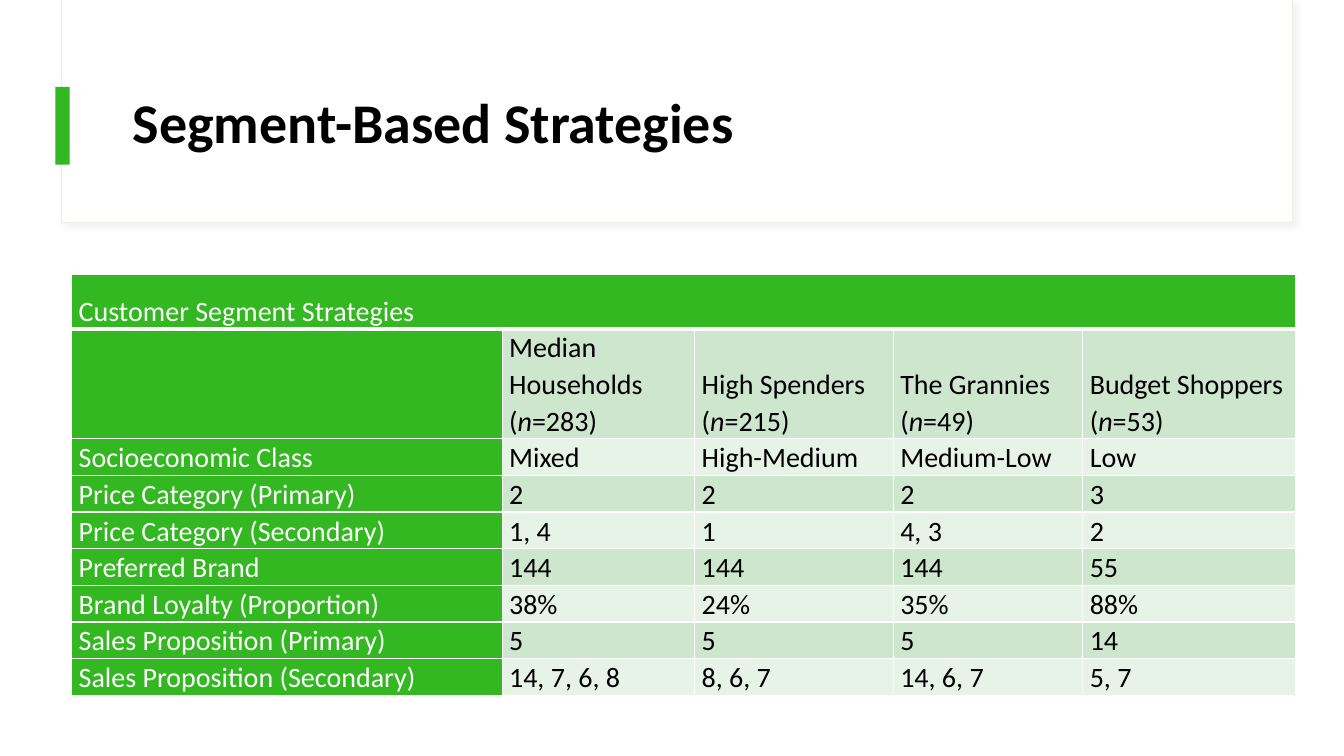
"""Build the slide on segment-based strategies with its customer segment table."""
import lxml.etree
import pptx
import pptx.dml.color
import pptx.enum.shapes
import pptx.enum.text
import pptx.oxml.ns
import pptx.util

GREEN = pptx.dml.color.RGBColor(0x33, 0xB8, 0x22)
DARK_BAND = pptx.dml.color.RGBColor(0xCE, 0xE6, 0xCD)
LIGHT_BAND = pptx.dml.color.RGBColor(0xE8, 0xF3, 0xE8)
FRAME_LINE = pptx.dml.color.RGBColor(0xF0, 0xEC, 0xE5)
WHITE = pptx.dml.color.RGBColor(0xFF, 0xFF, 0xFF)
BLACK = pptx.dml.color.RGBColor(0x00, 0x00, 0x00)
FONT = "Calibri"

SEGMENTS = [("Median Households", 283), ("High Spenders", 215),
            ("The Grannies", 49), ("Budget Shoppers", 53)]
STRATEGIES = [
    ("Socioeconomic Class", "Mixed", "High-Medium", "Medium-Low", "Low"),
    ("Price Category (Primary)", "2", "2", "2", "3"),
    ("Price Category (Secondary)", "1, 4", "1", "4, 3", "2"),
    ("Preferred Brand", "144", "144", "144", "55"),
    ("Brand Loyalty (Proportion)", "38%", "24%", "35%", "88%"),
    ("Sales Proposition (Primary)", "5", "5", "5", "14"),
    ("Sales Proposition (Secondary)", "14, 7, 6, 8", "8, 6, 7", "14, 6, 7", "5, 7"),
]
COLUMN_PERCENTS = [32.03, 14.33, 14.78, 14.1, 15.83]
ROW_PERCENTS = [7.2, 14.55] + [4.85] * len(STRATEGIES)

presentation = pptx.Presentation()
presentation.slide_width = pptx.util.Inches(13.333)
presentation.slide_height = pptx.util.Inches(7.5)
PERCENT_WIDE = presentation.slide_width / 100
PERCENT_HIGH = presentation.slide_height / 100
slide = presentation.slides.add_slide(presentation.slide_layouts[6])


def area(left, top, width, height):
    """Turn percentages of the slide into a position and size."""
    return (round(left * PERCENT_WIDE), round(top * PERCENT_HIGH),
            round(width * PERCENT_WIDE), round(height * PERCENT_HIGH))


def add_border(cell, side, points):
    """Draw one white border of a table cell."""
    line = lxml.etree.SubElement(cell._tc.get_or_add_tcPr(), pptx.oxml.ns.qn(f"a:ln{side}"),
                                 w=str(pptx.util.Pt(points)))
    fill = lxml.etree.SubElement(line, pptx.oxml.ns.qn("a:solidFill"))
    lxml.etree.SubElement(fill, pptx.oxml.ns.qn("a:srgbClr"), val=str(WHITE))


panels = []
for position, color in [((4.58, 0, 91.6, 29.5), WHITE), ((4.65, 0, 91.5, 29.35), WHITE),
                        ((4.13, 11.5, 1.05, 10.3), GREEN)]:
    panel = slide.shapes.add_shape(pptx.enum.shapes.MSO_SHAPE.RECTANGLE, *area(*position))
    panel.shadow.inherit = False
    panel.fill.solid()
    panel.fill.fore_color.rgb = color
    panel.line.fill.background()
    panels.append(panel)

frame = panels[0]
frame.line.color.rgb = FRAME_LINE
frame.line.width = pptx.util.Pt(0.75)
effects = frame._element.spPr.find(pptx.oxml.ns.qn("a:effectLst"))
shadow = lxml.etree.SubElement(effects, pptx.oxml.ns.qn("a:outerShdw"),
                               blurRad=str(pptx.util.Pt(4)), dist=str(pptx.util.Pt(3)),
                               dir=str(45 * 60000), algn="tl", rotWithShape="0")
shadow_color = lxml.etree.SubElement(shadow, pptx.oxml.ns.qn("a:srgbClr"), val="D9D9D9")
lxml.etree.SubElement(shadow_color, pptx.oxml.ns.qn("a:alpha"), val="30000")

title = slide.shapes.add_textbox(*area(9.15, 8, 83.4, 17.2)).text_frame
title.word_wrap = True
title.vertical_anchor = pptx.enum.text.MSO_ANCHOR.MIDDLE
title.text = "Segment-Based Strategies"
heading = title.paragraphs[0]
heading.line_spacing = 0.9
heading.font.name = FONT
heading.font.size = pptx.util.Pt(40)
heading.font.bold = True
heading.font.color.rgb = BLACK

table = slide.shapes.add_table(len(ROW_PERCENTS), len(COLUMN_PERCENTS),
                               *area(5.33, 36.3, sum(COLUMN_PERCENTS), sum(ROW_PERCENTS))).table
for column, percent in zip(table.columns, COLUMN_PERCENTS):
    column.width = round(percent * PERCENT_WIDE)
for row, percent in zip(table.rows, ROW_PERCENTS):
    row.height = round(percent * PERCENT_HIGH)

table.cell(0, 0).merge(table.cell(0, len(SEGMENTS)))
table.cell(0, 0).text = "Customer Segment Strategies"
for column_index, (segment, count) in enumerate(SEGMENTS, start=1):
    text_frame = table.cell(1, column_index).text_frame
    text_frame.text = segment
    count_paragraph = text_frame.add_paragraph()
    for text in ("(", "n", f"={count})"):
        run = count_paragraph.add_run()
        run.text = text
        run.font.italic = text == "n"
for row_index, values in enumerate(STRATEGIES, start=2):
    for column_index, value in enumerate(values):
        table.cell(row_index, column_index).text = value

for row_index, row in enumerate(table.rows):
    for column_index, cell in enumerate(row.cells):
        is_header = row_index == 0 or column_index == 0
        cell.vertical_anchor = pptx.enum.text.MSO_ANCHOR.BOTTOM
        cell.margin_left = cell.margin_right = pptx.util.Inches(0.07)
        cell.margin_top = cell.margin_bottom = 0
        for side, is_thick in [("L", False), ("R", False),
                               ("T", row_index == 1), ("B", row_index == 0)]:
            add_border(cell, side, 3 if is_thick else 1)
        cell.fill.solid()
        cell.fill.fore_color.rgb = GREEN if is_header else DARK_BAND if row_index % 2 else LIGHT_BAND
        for paragraph in cell.text_frame.paragraphs:
            paragraph.line_spacing = 1.07
            paragraph.font.name = FONT
            paragraph.font.size = pptx.util.Pt(20)
            paragraph.font.bold = False
            paragraph.font.color.rgb = WHITE if is_header else BLACK

presentation.save("out.pptx")
